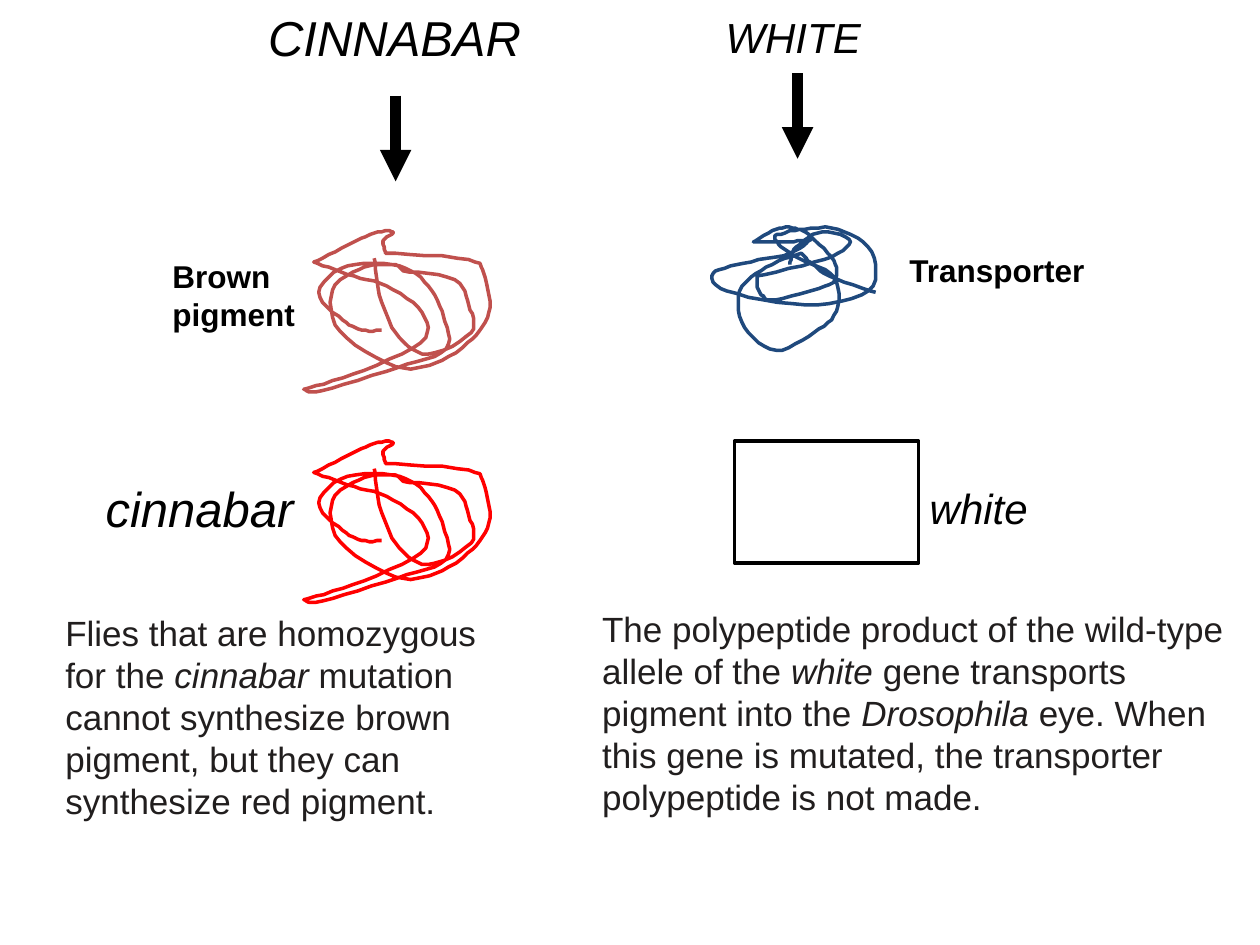
from pptx import Presentation
from pptx.dml.color import RGBColor
from pptx.enum.shapes import MSO_CONNECTOR, MSO_SHAPE
from pptx.enum.text import MSO_AUTO_SIZE
from pptx.oxml.ns import qn
from pptx.util import Inches, Pt
from lxml.etree import SubElement

BLACK = RGBColor(0, 0, 0)
WHITE = RGBColor(255, 255, 255)
INK = RGBColor(0x21, 0x1E, 0x1E)
BROWN = RGBColor(0xC0, 0x50, 0x4D)
RED = RGBColor(255, 0, 0)
BLUE = RGBColor(0x1F, 0x49, 0x7D)

GENE = {"size": Pt(28), "italic": True, "color": BLACK}
SMALL = {**GENE, "size": Pt(24)}
LABEL = {"size": Pt(18), "bold": True, "color": BLACK}
PLAIN = {"size": Pt(20), "color": INK}
SLANT = {**PLAIN, "italic": True}

STEPS = 6
UNIT = Inches(0.01)
PIGMENT = {
    "drop": [(56, 22), (62, 57), (76, 85), (99, 98), (133, 81), (131, 59),
             (120, 39), (79, 32)],
    "coil": [(71, 27), (48, 29), (23, 47), (29, 80), (73, 108), (105, 105),
             (134, 86), (147, 65), (144, 37), (131, 23), (65, 18)],
    "fin": [(63, 8), (71, 1), (56, 2), (34, 12), (8, 25)],
    "sweep": [(35, 35), (66, 44), (94, 65), (93, 89), (39, 114), (0, 126)],
    "curl": [(15, 127), (74, 109), (113, 94), (111, 68), (99, 44), (76, 28),
             (35, 28), (12, 49), (31, 71), (46, 79), (62, 79)],
}
PORTER = {
    "hook": [(61, 29), (66, 15), (87, 3), (109, 11), (88, 25), (35, 38)],
    "ring": [(37, 51), (50, 57), (89, 46), (97, 40), (96, 26), (78, 7),
             (65, 0), (50, 1), (32, 11)],
    "bar": [(60, 11), (78, 9)],
    "band": [(61, 20), (24, 28), (0, 36), (11, 50), (73, 61), (123, 50),
             (126, 19), (99, 1), (69, 1), (49, 6)],
    "bowl": [(52, 13), (70, 25), (96, 39), (98, 66), (80, 83), (50, 97),
             (25, 79), (21, 50), (42, 31), (70, 20)],
    "tail": [(77, 27), (92, 38), (129, 51)],
}


def blend(a, b, c, d, t):
    """Return the Catmull-Rom value between b and c at t."""
    return b + t * (c - a + t * (2 * a - 5 * b + 4 * c - d
                                 + t * (3 * (b - c) + d - a))) / 2


def smooth(knots):
    """Yield the points of a smooth curve through the knots, after the first."""
    ends = [knots[0], *knots, knots[-1]]
    for four in zip(ends, ends[1:], ends[2:], ends[3:]):
        for step in range(1, STEPS + 1):
            yield tuple(blend(*axis, step / STEPS) for axis in zip(*four))


def trace(strokes):
    """Join smooth strokes, each starting where the last one ended."""
    chain = []
    for knots in strokes.values():
        chain = chain or knots[:1]
        chain += smooth(chain[-1:] + [k for k in knots if k != chain[-1]])
    return chain


def outline(shape, color):
    """Give a shape a plain two-point line."""
    shape.shadow.inherit = False
    shape.line.color.rgb = color
    shape.line.width = Pt(2)


def tangle(slide, x, y, strokes, color):
    """Draw a folded chain in the box whose top left corner is x, y."""
    chain = trace(strokes)
    pen = slide.shapes.build_freeform(*chain[0], scale=UNIT)
    pen.add_line_segments(chain[1:], close=False)
    shape = pen.convert_to_shape(Inches(x), Inches(y))
    shape.fill.background()
    outline(shape, color)


def write(slide, box, *paras, wrap=False):
    """Place a text box whose paragraphs are lists of (text, format) runs."""
    frame = slide.shapes.add_textbox(*map(Inches, box)).text_frame
    frame.word_wrap = wrap
    frame.auto_size = MSO_AUTO_SIZE.SHAPE_TO_FIT_TEXT
    for i, runs in enumerate(paras):
        para = frame.add_paragraph() if i else frame.paragraphs[0]
        for text, style in runs:
            run = para.add_run()
            run.text = text
            run.font.name = "Arial"
            for key, value in style.items():
                if key == "color":
                    run.font.color.rgb = value
                else:
                    setattr(run.font, key, value)


def arrow(slide, x, y):
    """Draw a thick arrow pointing down from x, y."""
    line = slide.shapes.add_connector(
        MSO_CONNECTOR.STRAIGHT, *map(Inches, (x, y, x, y + 0.68)))
    line.line.color.rgb = BLACK
    line.line.width = Pt(6)
    SubElement(line.get_or_add_ln(), qn("a:tailEnd"), type="triangle")
    SubElement(line._element.spPr, qn("a:effectLst"))


def brown(slide, x, y):
    """Build the cinnabar column."""
    write(slide, (x + 1.61, y + 0.01, 2.23, 0.57), [("CINNABAR", GENE)])
    arrow(slide, x + 2.72, y + 0.76)
    for top, color in ((1.83, BROWN), (3.5, RED)):
        tangle(slide, x + 1.99, y + top, PIGMENT, color)
    write(slide, (x + 0.85, y + 1.99, 1.18, 0.71),
          [("Brown ", LABEL)], [("pigment", LABEL)])
    write(slide, (x + 0.32, y + 3.75, 1.71, 0.57), [("cinnabar", GENE)])
    write(slide, (x, y + 4.8, 3.84, 1.78), [
        ("Flies that are homozygous for the ", PLAIN),
        ("cinnabar ", SLANT),
        ("mutation cannot synthesize brown pigment, "
         "but they can synthesize red pigment. ", PLAIN)], wrap=True)


def white(slide, x, y):
    """Build the white column."""
    write(slide, (x + 0.98, y + 0.04, 1.29, 0.5), [("WHITE", SMALL)])
    arrow(slide, x + 1.65, y + 0.58)
    write(slide, (x + 2.44, y + 1.94, 1.6, 0.4), [("Transporter", LABEL)])
    tangle(slide, x + 0.98, y + 1.81, PORTER, BLUE)
    write(slide, (x + 2.6, y + 3.78, 0.99, 0.5), [("white", SMALL)])
    blank = slide.shapes.add_shape(
        MSO_SHAPE.RECTANGLE, *map(Inches, (x + 1.15, y + 3.5, 1.46, 0.97)))
    blank.fill.solid()
    blank.fill.fore_color.rgb = WHITE
    outline(blank, BLACK)
    write(slide, (x, y + 4.77, 5.21, 1.78), [
        ("The polypeptide product of the wild-type allele of the ", PLAIN),
        ("white ", SLANT),
        ("gene transports pigment into the ", PLAIN),
        ("Drosophila ", SLANT),
        ("eye. When this gene is mutated, the transporter "
         "polypeptide is not made. ", PLAIN)], wrap=True)


deck = Presentation()
deck.slide_width, deck.slide_height = Inches(10), Inches(7.5)
page = deck.slides.add_slide(deck.slide_layouts[6])
brown(page, 0.42, 0)
white(page, 4.68, 0)
deck.save("out.pptx")
